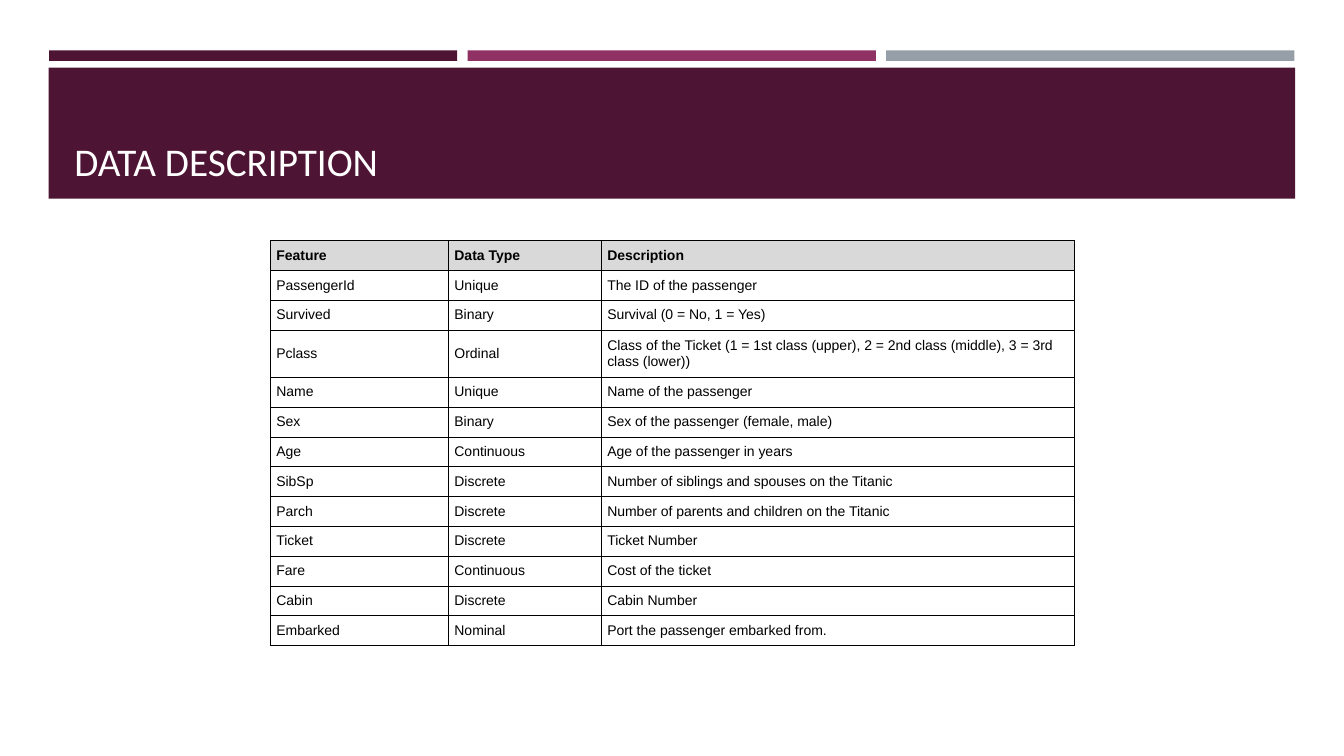
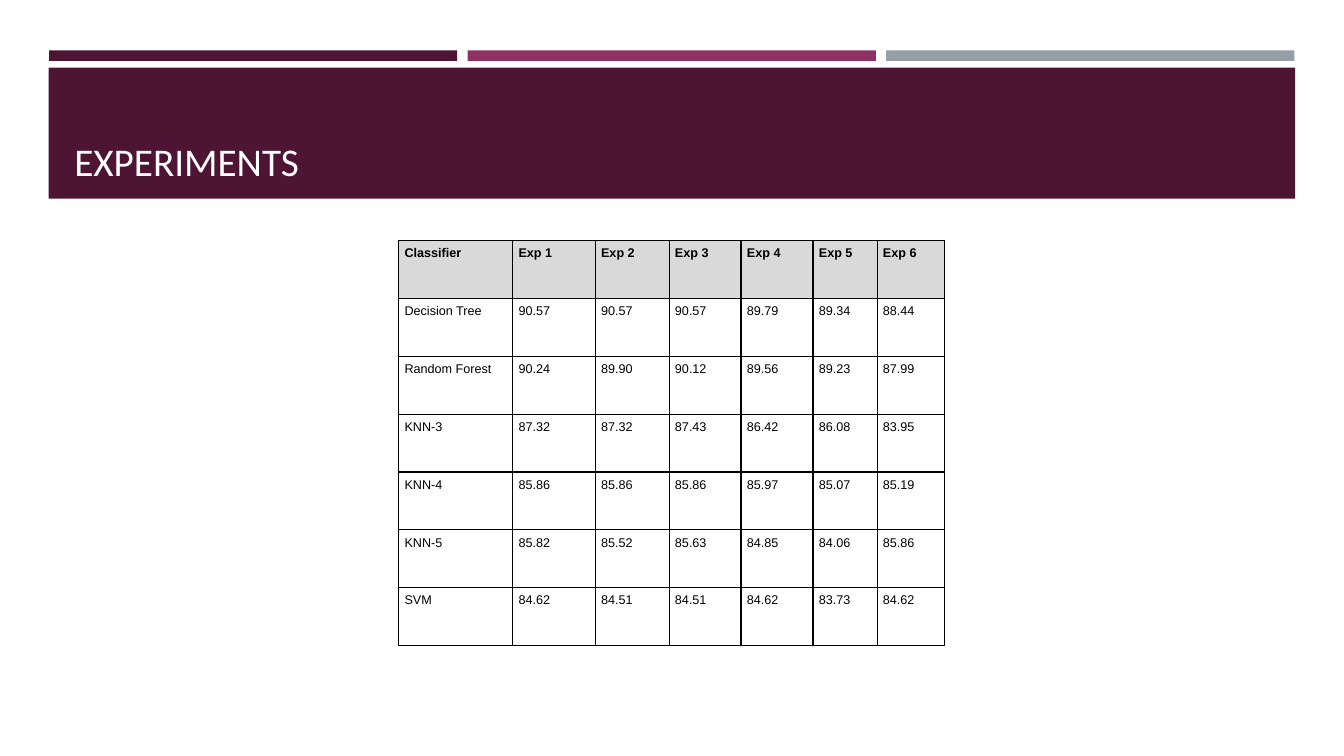
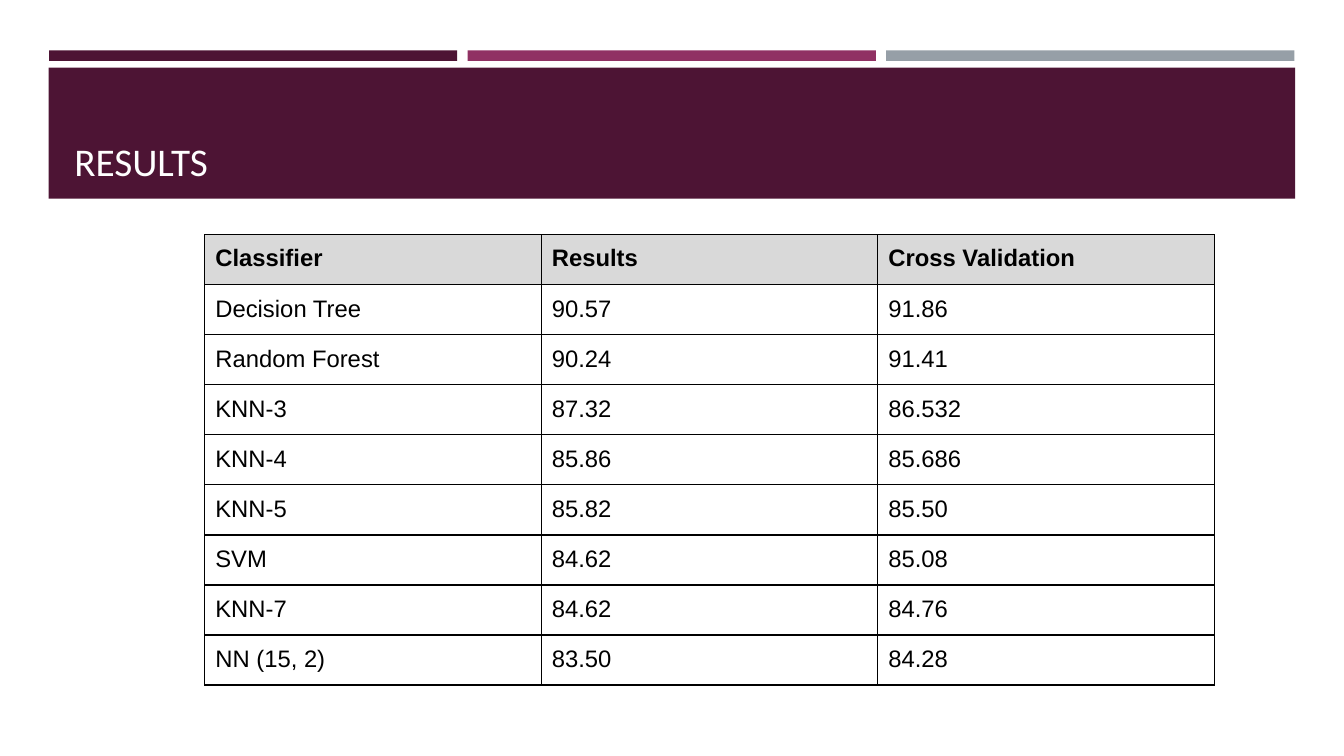
"""Builds three slides on passenger data, experiments and classifier results."""
from lxml.etree import SubElement
from pptx import Presentation
from pptx.dml.color import RGBColor as Rgb
from pptx.enum.shapes import MSO_SHAPE as Shape
from pptx.enum.text import MSO_ANCHOR as Anchor
from pptx.oxml.ns import qn
from pptx.util import Pt

COLORS = {
    "plum": "4D1434",
    "berry": "903163",
    "slate": "969FA7",
    "header": "D9D9D9",
    "ink": "000000",
    "white": "FFFFFF",
}

FEATURES = [
    ("Feature", "Data Type", "Description"),
    ("PassengerId", "Unique", "The ID of the passenger"),
    ("Survived", "Binary", "Survival (0 = No, 1 = Yes)"),
    ("Pclass", "Ordinal", "Class of the Ticket (1 = 1st class (upper), "
                          "2 = 2nd class (middle), 3 = 3rd class (lower))"),
    ("Name", "Unique", "Name of the passenger"),
    ("Sex", "Binary", "Sex of the passenger (female, male)"),
    ("Age", "Continuous", "Age of the passenger in years"),
    ("SibSp", "Discrete", "Number of siblings and spouses on the Titanic"),
    ("Parch", "Discrete", "Number of parents and children on the Titanic"),
    ("Ticket", "Discrete", "Ticket Number"),
    ("Fare", "Continuous", "Cost of the ticket"),
    ("Cabin", "Discrete", "Cabin Number"),
    ("Embarked", "Nominal", "Port the passenger embarked from."),
]

EXPERIMENTS = [
    ("Classifier", "Exp 1", "Exp 2", "Exp 3", "Exp 4", "Exp 5", "Exp 6"),
    ("Decision Tree", "90.57", "90.57", "90.57", "89.79", "89.34", "88.44"),
    ("Random Forest", "90.24", "89.90", "90.12", "89.56", "89.23", "87.99"),
    ("KNN-3", "87.32", "87.32", "87.43", "86.42", "86.08", "83.95"),
    ("KNN-4", "85.86", "85.86", "85.86", "85.97", "85.07", "85.19"),
    ("KNN-5", "85.82", "85.52", "85.63", "84.85", "84.06", "85.86"),
    ("SVM", "84.62", "84.51", "84.51", "84.62", "83.73", "84.62"),
]

RESULTS = [
    ("Classifier", "Results", "Cross Validation"),
    ("Decision Tree", "90.57", "91.86"),
    ("Random Forest", "90.24", "91.41"),
    ("KNN-3", "87.32", "86.532"),
    ("KNN-4", "85.86", "85.686"),
    ("KNN-5", "85.82", "85.50"),
    ("SVM", "84.62", "85.08"),
    ("KNN-7", "84.62", "84.76"),
    ("NN (15, 2)", "83.50", "84.28"),
]


def write(frame, text, size, font="Arial", color="ink", bold=False):
    run = frame.paragraphs[0].add_run()
    run.text = text
    run.font.size = Pt(size)
    run.font.name = font
    run.font.bold = bold
    run.font.color.rgb = Rgb.from_string(COLORS[color])


def add_band(slide, left, top, width, height, color):
    band = slide.shapes.add_shape(Shape.RECTANGLE, Pt(left), Pt(top), Pt(width), Pt(height))
    band.shadow.inherit = False
    band.fill.solid()
    band.fill.fore_color.rgb = Rgb.from_string(COLORS[color])
    band.line.fill.background()


def add_titled_slide(deck, title):
    slide = deck.slides.add_slide(deck.slide_layouts[6])
    for index, color in enumerate(("plum", "berry", "slate")):
        add_band(slide, 35 + index * 299, 36, 291.6, 7.5, color)
    add_band(slide, 34.8, 48.4, 890.4, 93.6, "plum")
    heading = slide.shapes.add_textbox(Pt(46), Pt(55.4), Pt(868), Pt(80)).text_frame
    heading.word_wrap = True
    heading.vertical_anchor = Anchor.BOTTOM
    write(heading, title, 28, font="Calibri", color="white")
    return slide


def draw_borders(cell, weight):
    properties = cell._tc.get_or_add_tcPr()
    for side in ("a:lnL", "a:lnR", "a:lnT", "a:lnB"):
        border = SubElement(properties, qn(side), w=str(Pt(weight)))
        ink = SubElement(border, qn("a:solidFill"))
        SubElement(ink, qn("a:srgbClr"), val=COLORS["ink"])


def add_grid(slide, rows, left, top, widths, heights, size, inset, weight, anchor=Anchor.TOP):
    grid = slide.shapes.add_table(len(rows), len(widths), Pt(left), Pt(top),
                                  Pt(sum(widths)), Pt(sum(heights))).table
    grid.first_row = grid.horz_banding = False
    for column, width in zip(grid.columns, widths):
        column.width = Pt(width)
    for index, (row, height, texts) in enumerate(zip(grid.rows, heights, rows)):
        row.height = Pt(height)
        is_header = index == 0
        for cell, text in zip(row.cells, texts):
            cell.margin_left = cell.margin_right = Pt(inset)
            cell.margin_top = cell.margin_bottom = Pt(inset)
            cell.vertical_anchor = anchor
            draw_borders(cell, weight)
            if is_header:
                cell.fill.solid()
                cell.fill.fore_color.rgb = Rgb.from_string(COLORS["header"])
            else:
                cell.fill.background()
            write(cell.text_frame, text, size, bold=is_header)


def main():
    deck = Presentation()
    deck.slide_width, deck.slide_height = Pt(960), Pt(540)

    description = add_titled_slide(deck, "DATA DESCRIPTION")
    add_grid(description, FEATURES, 193, 171.8, (127.2, 109.2, 337.8),
             [21.3] * 3 + [33.8] + [21.3] * 9,
             size=10, inset=4.4, weight=0.5, anchor=Anchor.MIDDLE)

    experiments = add_titled_slide(deck, "EXPERIMENTS")
    add_grid(experiments, EXPERIMENTS, 284.8, 171.8,
             (81.4, 59, 52.8, 51.4, 51.4, 45.8, 48.4), [41.35] * len(EXPERIMENTS),
             size=9, inset=4.2, weight=1)

    results = add_titled_slide(deck, "RESULTS")
    add_grid(results, RESULTS, 146.2, 167.6, [240.4] * 3, [35.75] * len(RESULTS),
             size=17, inset=7.6, weight=1)

    deck.save("out.pptx")


if __name__ == "__main__":
    main()
